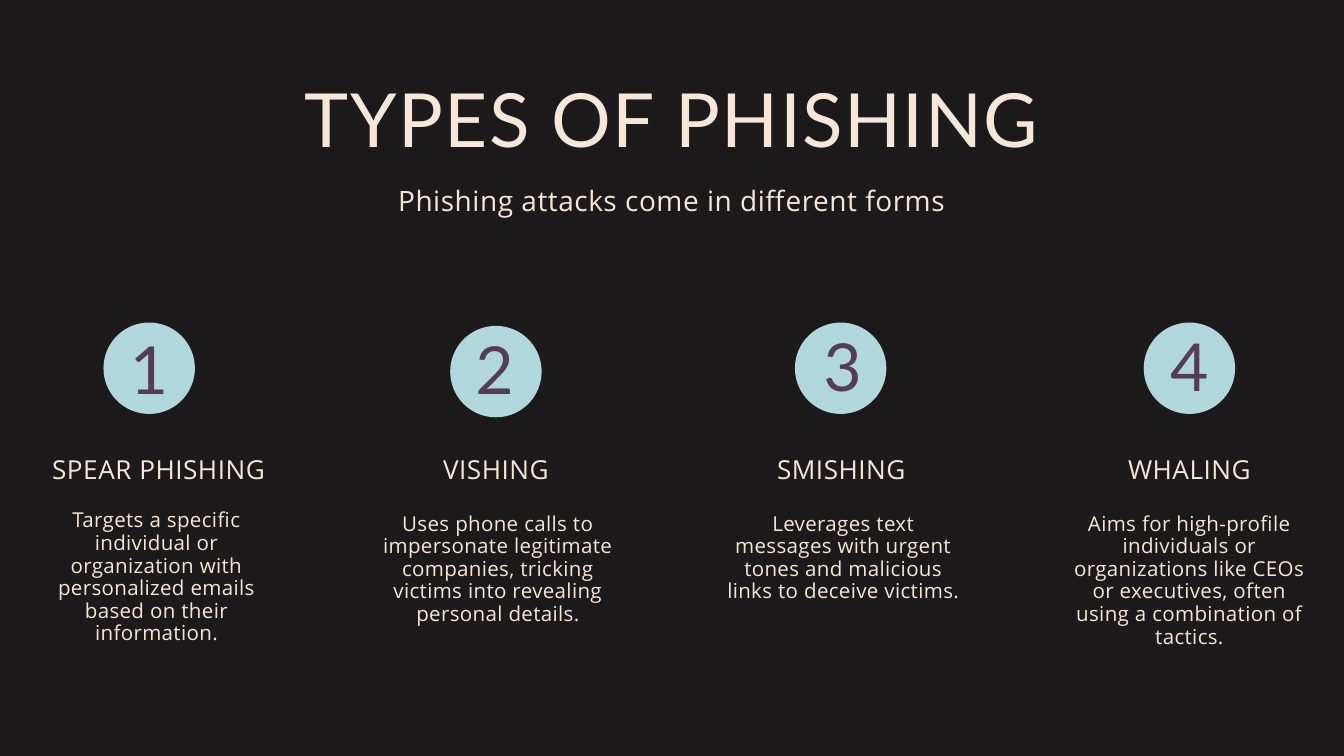
"""Build the slide on the four types of phishing."""
from pptx import Presentation
from pptx import util as u
from pptx.dml.color import RGBColor
from pptx.enum import shapes, text

THEME = {
    "bg": "1C191A", "cream": "F6E7D8", "circle": "B1D9DD", "plum": "553C51",
    "title": dict(size=80, font="Lato", color="cream", leading=88, spacing=1.6),
    "subtitle": dict(size=30, font="Open Sans", color="cream", leading=42, spacing=0.6),
    "heading": dict(size=28, font="Open Sans", color="cream", leading=39.2, spacing=0.6),
    "body": dict(size=22, font="Open Sans", color="cream", leading=24.2, spacing=0.4),
    "number": dict(size=70.9, font="Lato", color="plum", leading=99.3, spacing=0),
}
TITLE = "TYPES OF PHISHING"
SUBTITLE = "Phishing attacks come in different forms"
TYPES = [
    dict(heading="SPEAR PHISHING", lines=6, circle=(2.22, 4.8), number=(2.22, 4.69),
         heading_x=2.36, body_at=(2.33, 7.58),
         body="Targets a specific individual or organization with personalized "
              "emails based on their information."),
    dict(heading="VISHING", lines=5, circle=(7.38, 4.85), number=(7.36, 4.69),
         heading_x=7.38, body_at=(7.41, 7.63),
         body="Uses phone calls to impersonate legitimate companies, tricking "
              "victims into revealing personal details."),
    dict(heading="SMISHING", lines=4, circle=(12.51, 4.8), number=(12.54, 4.64),
         heading_x=12.52, body_at=(12.55, 7.63),
         body="Leverages text messages with urgent tones and malicious links "
              "to deceive victims."),
    dict(heading="WHALING", lines=6, circle=(17.7, 4.8), number=(17.7, 4.64),
         heading_x=17.7, body_at=(17.7, 7.63),
         body="Aims for high-profile individuals or organizations like CEOs or "
              "executives, often using a combination of tactics."),
]
SLIDE_W, SLIDE_H = 20, 11.25
CIRCLE = 1.36
HEADING_Y = 6.67


def rgb(name):
    """Return a theme colour."""
    return RGBColor.from_string(THEME[name])


def box(center, top, width, height):
    """Return left, top, width and height of a box centred on a column."""
    return [u.Inches(n) for n in (center - width / 2, top, width, height)]


def add_text(s, words, place, *, size, font, color, leading, spacing):
    """Add a centred text box without margins."""
    tf = s.shapes.add_textbox(*place).text_frame
    tf.margin_left = tf.margin_right = tf.margin_top = tf.margin_bottom = 0
    tf.word_wrap = True
    tf.auto_size = text.MSO_AUTO_SIZE.SHAPE_TO_FIT_TEXT
    p = tf.paragraphs[0]
    p.alignment = text.PP_ALIGN.CENTER
    p.line_spacing = u.Pt(leading)
    r = p.add_run()
    r.text = words
    r.font.size = u.Pt(size)
    r.font.name = font
    r.font.color.rgb = rgb(color)
    if spacing:
        r.font._element.set("spc", str(round(spacing * 100)))


def add_circle(s, center, top):
    """Add the disc behind a number."""
    sp = s.shapes.add_shape(shapes.MSO_SHAPE.OVAL, *box(center, top, CIRCLE, CIRCLE))
    sp.shadow.inherit = False
    sp.fill.solid()
    sp.fill.fore_color.rgb = rgb("circle")
    sp.line.fill.background()


def main():
    """Lay out the slide and save it."""
    prs = Presentation()
    prs.slide_width, prs.slide_height = u.Inches(SLIDE_W), u.Inches(SLIDE_H)
    s = prs.slides.add_slide(prs.slide_layouts[6])
    s.background.fill.solid()
    s.background.fill.fore_color.rgb = rgb("bg")

    add_text(s, TITLE, box(SLIDE_W / 2, 1.19, 13.26, 1.27), **THEME["title"])
    add_text(s, SUBTITLE, box(SLIDE_W / 2, 2.65, 9.12, 0.56), **THEME["subtitle"])
    for i, kind in enumerate(TYPES, 1):
        add_circle(s, *kind["circle"])
        add_text(s, str(i), box(*kind["number"], 0.6, 1.33), **THEME["number"])
        add_text(s, kind["heading"], box(kind["heading_x"], HEADING_Y, 3.57, 0.53),
                 **THEME["heading"])
        height = kind["lines"] * THEME["body"]["leading"] / 72
        add_text(s, kind["body"], box(*kind["body_at"], 3.51, height), **THEME["body"])
    prs.save("out.pptx")


if __name__ == "__main__":
    main()
